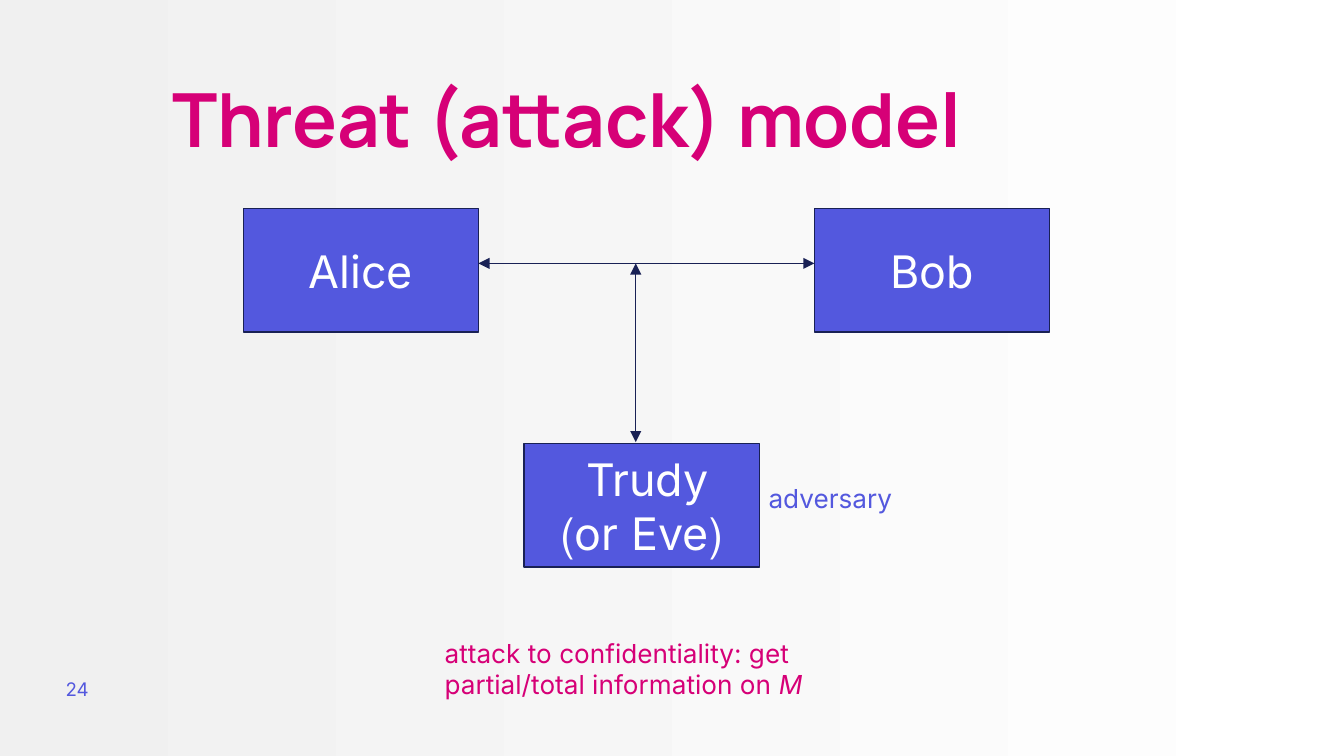
from lxml import etree
from pptx import Presentation
from pptx.dml.color import RGBColor
from pptx.enum.shapes import MSO_CONNECTOR, MSO_SHAPE
from pptx.enum.text import MSO_ANCHOR, MSO_AUTO_SIZE, PP_ALIGN
from pptx.oxml.ns import qn
from pptx.util import Pt

RECT, STRAIGHT = MSO_SHAPE.RECTANGLE, MSO_CONNECTOR.STRAIGHT
TOP, MIDDLE = MSO_ANCHOR.TOP, MSO_ANCHOR.MIDDLE
LEFT, CENTER = PP_ALIGN.LEFT, PP_ALIGN.CENTER
NO_FIT = MSO_AUTO_SIZE.NONE

BLUE, NAVY, PINK, WHITE, GREY = "5358DE", "192155", "D60077", "FFFFFF", "F0F0F0"
BOX_W, BOX_H = 126, 66.24
ALICE_X, BOB_X, PEOPLE_Y = 130.32, 436.32, 111.6
TRUDY_X, TRUDY_Y = 280.8, 237.6
LINK_Y, TAP_X = 141.12, 340.56


def rgb(color):
    """Return the colour of a hex string."""
    return RGBColor.from_string(color)


def style_run(r, size, color, font="Inter", bold=False, italic=False):
    """Format one run."""
    r.font.name, r.font.size = font, Pt(size)
    r.font.bold, r.font.italic = bold, italic
    r.font.color.rgb = rgb(color)


def set_insets(tf, inset):
    """Give a text frame the same inset on all sides."""
    tf.margin_left = tf.margin_right = tf.margin_top = tf.margin_bottom = Pt(inset)


def set_background(s):
    """Fill the slide with a gradient from white at right to grey at left."""
    fill = s.background.fill
    fill.gradient()
    fill.gradient_angle = 180
    for stop, color, position in zip(fill.gradient_stops, (WHITE, GREY), (0, 1)):
        stop.color.rgb = rgb(color)
        stop.position = position


def set_title(s, text):
    """Place and format the title placeholder."""
    sp = s.shapes.title
    sp.left, sp.top, sp.width, sp.height = Pt(84.96), Pt(41.04), Pt(470.16), Pt(53.28)
    tf = sp.text_frame
    tf.text = text
    tf.auto_size, tf.vertical_anchor = NO_FIT, TOP
    set_insets(tf, 7.2)
    p = tf.paragraphs[0]
    p.alignment, p.line_spacing = LEFT, 0.8
    style_run(p.runs[0], 40, PINK, "Manrope", bold=True)


def add_party(s, x, y, lines):
    """Add a box with the name of one party, set right to left."""
    sp = s.shapes.add_shape(RECT, Pt(x), Pt(y), Pt(BOX_W), Pt(BOX_H))
    sp.shadow.inherit = False
    sp.fill.solid()
    sp.fill.fore_color.rgb = rgb(BLUE)
    sp.line.color.rgb, sp.line.width = rgb(NAVY), Pt(0.75)
    tf = sp.text_frame
    tf.text = "\n".join(lines)
    tf.word_wrap, tf.vertical_anchor = False, MIDDLE
    for p in tf.paragraphs:
        p.alignment = CENTER
        p._p.get_or_add_pPr().set("rtl", "1")
        style_run(p.runs[0], 24, WHITE)


def add_arrow(s, x1, y1, x2, y2):
    """Add a line with a triangle at both ends."""
    cxn = s.shapes.add_connector(STRAIGHT, Pt(x1), Pt(y1), Pt(x2), Pt(y2))
    cxn.line.color.rgb, cxn.line.width = rgb(NAVY), Pt(0.75)
    ln = cxn.line._get_or_add_ln()
    for end in ("a:headEnd", "a:tailEnd"):
        etree.SubElement(ln, qn(end)).set("type", "triangle")
    etree.SubElement(cxn._element.spPr, qn("a:effectLst"))


def add_label(s, x, y, w, h, text, size, color, wrap=True):
    """Add a text box and return its text frame."""
    tf = s.shapes.add_textbox(Pt(x), Pt(y), Pt(w), Pt(h)).text_frame
    tf.text = text
    tf.word_wrap = wrap
    style_run(tf.paragraphs[0].runs[0], size, color)
    return tf


def main():
    """Build the slide and save it."""
    prs = Presentation()
    prs.slide_width, prs.slide_height = Pt(720), Pt(405)
    s = prs.slides.add_slide(prs.slide_layouts[5])
    set_background(s)

    tf = add_label(s, 28.08, 353.52, 43.2, 30.96, "24", 10, BLUE)
    tf.vertical_anchor = MIDDLE
    set_insets(tf, 7.2)
    set_title(s, "Threat (attack) model")

    add_party(s, ALICE_X, PEOPLE_Y, ["Alice"])
    add_party(s, BOB_X, PEOPLE_Y, ["Bob"])
    add_arrow(s, ALICE_X + BOX_W, LINK_Y, BOB_X, LINK_Y)
    add_arrow(s, TAP_X, LINK_Y, TAP_X, TRUDY_Y - 0.72)
    add_party(s, TRUDY_X, TRUDY_Y, ["Trudy ", "(or Eve)"])

    add_label(s, 404.64, 254.88, 81.36, 24.48, "adversary", 14, BLUE, wrap=False)
    attack = "attack to confidentiality: get partial/total information on "
    tf = add_label(s, 231.12, 337.68, 231.12, 58.32, attack, 14, PINK)
    r = tf.paragraphs[0].add_run()
    r.text = "M"
    style_run(r, 14, PINK, italic=True)

    prs.save("out.pptx")


if __name__ == "__main__":
    main()
